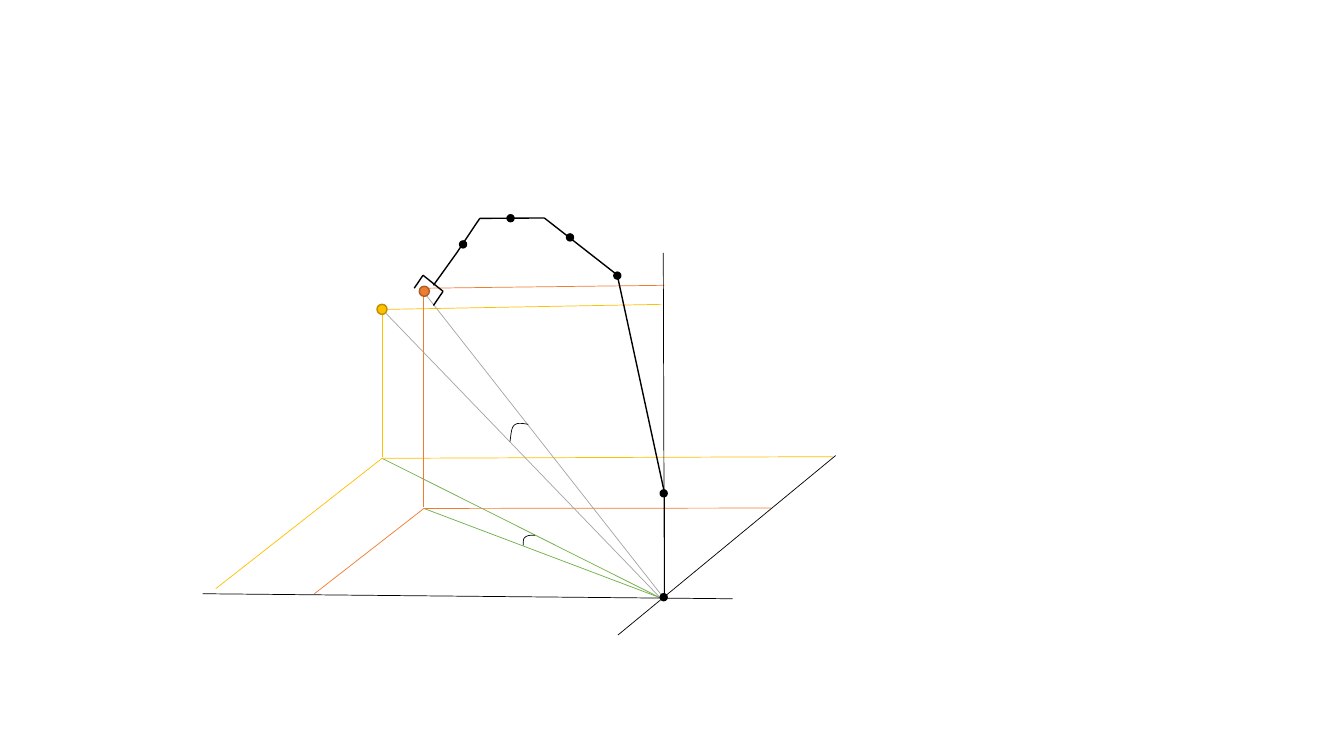
from dataclasses import dataclass
from itertools import pairwise

from lxml.etree import SubElement
from pptx import Presentation
from pptx.dml.color import RGBColor
from pptx.enum.shapes import MSO_CONNECTOR, MSO_SHAPE
from pptx.oxml.ns import qn
from pptx.util import Pt


@dataclass(frozen=True)
class Theme:
    black: str = "000000"
    green: str = "70AD47"
    yellow: str = "FFC000"
    yellow_edge: str = "BD8E00"
    orange: str = "ED7D31"
    orange_edge: str = "AF5C24"
    grey: str = "A5A5A5"
    thin: float = 0.5
    thick: float = 1
    joint: float = 5
    target: float = 7.2


class Diagram:
    def __init__(self, slide, theme):
        self.s = slide
        self.theme = theme

    def outline(self, line, color, width):
        line.color.rgb = RGBColor.from_string(color)
        line.width = Pt(width)

    def polyline(self, points, color, width=None):
        """Draw one straight connector between each pair of neighbours."""
        for start, end in pairwise(points):
            c = self.s.shapes.add_connector(
                MSO_CONNECTOR.STRAIGHT, *map(Pt, start + end))
            self.outline(c.line, color, width or self.theme.thin)
            SubElement(c._element.spPr, qn("a:effectLst"))

    def dot(self, center, size, fill, edge):
        x, y = center
        sp = self.s.shapes.add_shape(
            MSO_SHAPE.OVAL, Pt(x - size / 2), Pt(y - size / 2), Pt(size), Pt(size))
        sp.shadow.inherit = False
        sp.fill.solid()
        sp.fill.fore_color.rgb = RGBColor.from_string(fill)
        self.outline(sp.line, edge, self.theme.thick)

    def curve(self, points, steps=10):
        """Draw a chain of cubic Bezier segments: start, then three points each."""
        fb = self.s.shapes.build_freeform(*map(Pt, points[0]))
        track = []
        for i in range(0, len(points) - 1, 3):
            for t in (n / steps for n in range(1, steps + 1)):
                weights = ((1 - t) ** 3, 3 * t * (1 - t) ** 2,
                           3 * t * t * (1 - t), t ** 3)
                track.append(tuple(
                    Pt(sum(w * v for w, v in zip(weights, axis)))
                    for axis in zip(*points[i:i + 4])))
        fb.add_line_segments(track, close=False)
        sp = fb.convert_to_shape()
        sp.shadow.inherit = False
        sp.fill.background()
        self.outline(sp.line, self.theme.black, self.theme.thin)


def main():
    prs = Presentation()
    prs.slide_width, prs.slide_height = Pt(960), Pt(540)
    th = Theme()
    d = Diagram(prs.slides.add_slide(prs.slide_layouts[6]), th)

    origin = (471.6, 427)
    yellow_foot, orange_foot = (272.9, 327.4), (302.8, 363.2)
    yellow_target, orange_target = (272.9, 221), (303.1, 208.1)

    axes = [
        [(596.9, 325.4), (441.4, 453.6)],
        [(144.7, 424.1), (523.4, 427.7)],
        [(473.8, 180.7), (474.5, 427)],
    ]
    yellow_projection = [
        [(276.5, 221), (472.3, 217.4)],
        [(272.9, 224.6), (272.9, 326.2)],
        [(594.7, 326.2), yellow_foot, (154.1, 420.5)],
    ]
    orange_projection = [
        [(302.4, 205.9), (474.5, 203.8)],
        [(302.4, 207.4), (302.4, 362.2)],
        [(550.8, 362.9), orange_foot, (224.6, 424.1)],
    ]
    ground_rays = [[yellow_foot, origin], [orange_foot, origin]]
    sight_rays = [[(275.8, 223.9), origin], [(301.7, 207.4), (472.3, 424.8)]]
    for color, lines in (
        (th.green, ground_rays),
        (th.yellow, yellow_projection),
        (th.orange, orange_projection),
        (th.grey, sight_rays),
        (th.black, axes),
    ):
        for points in lines:
            d.polyline(points, color)

    arm = [(439.2, 195.1), (388.8, 155.7), (342.7, 156), (326.2, 180.7),
           (309.6, 203.8)]
    upright = [(441.4, 198.7), (474.5, 351.4), (474.5, 427.7)]
    gripper = [(295.9, 205.9), (302.2, 196.6), (316.5, 208.1), (309.6, 218.2)]
    for points in (arm, upright, gripper):
        d.polyline(points, th.black, th.thick)

    joints = [(441, 196.9), (330.8, 174.6), (407.2, 169.6), (364.7, 155.9),
              (474.1, 352.4), (474.1, 426.6)]
    for center in joints:
        d.dot(center, th.joint, th.black, th.black)
    d.dot(yellow_target, th.target, th.yellow, th.yellow_edge)
    d.dot(orange_target, th.target, th.orange, th.orange_edge)

    sight_angle = [(364.3, 315.4), (365, 311), (365, 306), (367.2, 303.8),
                   (369.4, 301.7), (373, 302.4), (377.3, 303.1)]
    ground_angle = [(373.7, 389.5), (373.7, 387.4), (373.7, 384.5), (375.1, 383.8),
                    (376.6, 382.3), (379.4, 382.3), (382.3, 382.3)]
    d.curve(sight_angle)
    d.curve(ground_angle)

    prs.save("out.pptx")


if __name__ == "__main__":
    main()
